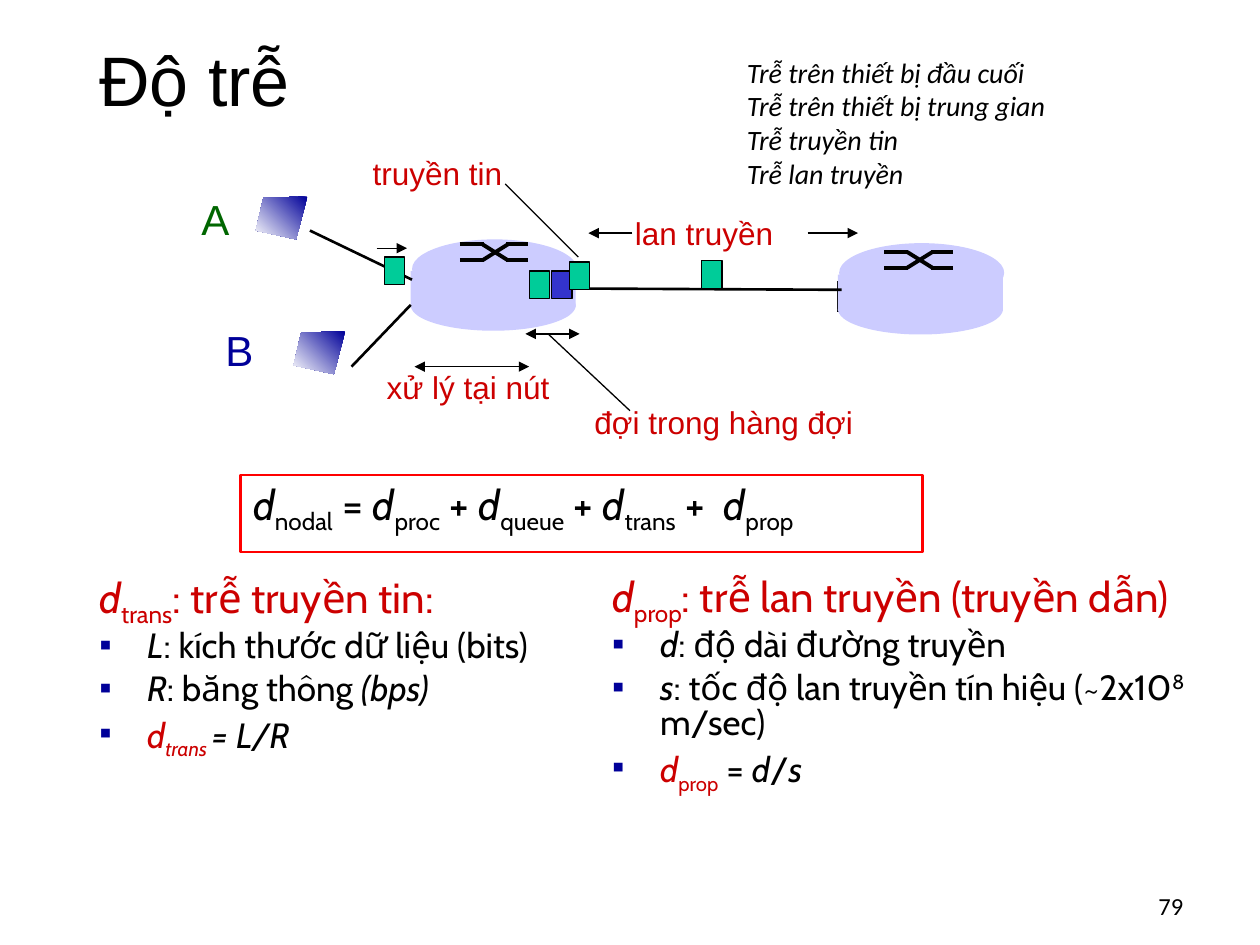
from lxml import etree
from pptx import Presentation
from pptx import util as u
from pptx.dml.color import RGBColor
from pptx.enum import shapes as sh, text as tx
from pptx.oxml import ns

# The slide is a grid of 100 columns by 75 rows
WIDE, HIGH = u.Inches(10), u.Inches(7.5)
COL, ROW = WIDE / 100, HIGH / 75

BLACK, RED, NAVY, GREEN = "000000", "CC0000", "000099", "006600"
LILAC, MINT, BLUE = "CCCCFF", "00CC99", "3333CC"
BASE = {"-": "-25000", "+": "30000"}


def hue(code):
    return RGBColor.from_string(code)


def spot(x, y):
    return round(x * COL), round(y * ROW)


def sub(node, tag, **attrs):
    return etree.SubElement(node, ns.qn(tag), attrs)


def mark(para, sign):
    """Hang the paragraph by 3.8 columns, with a bullet if one is given."""
    props = para._p.get_or_add_pPr()
    props.set("marL", str(round(3.8 * COL)))
    props.set("indent", str(round(-3.8 * COL)))
    if sign:
        sub(sub(props, "a:buClr"), "a:srgbClr", val=NAVY)
        sub(props, "a:buFont", typeface="Arial")
        sub(props, "a:buChar", char=sign)
    else:
        sub(props, "a:buNone")


def write(frame, lines, size=18, font="Arial", color=BLACK, italic=False,
          align="LEFT", anchor="TOP", wrap=False, pitch=None, gap=0,
          hang=False, head=None):
    """Fill a frame. A line is a string or a list of (words, flags):
    i italic, r red, - subscript, + superscript.
    head is the (size, color) of a first line that carries no bullet."""
    frame.word_wrap = wrap
    frame.vertical_anchor = getattr(tx.MSO_ANCHOR, anchor)
    for n, line in enumerate(lines):
        para = frame.add_paragraph() if n else frame.paragraphs[0]
        if hang:
            mark(para, "▪" if n else None)
        para.alignment = getattr(tx.PP_ALIGN, align)
        if pitch:
            para.line_spacing = pitch
        if n and gap:
            para.space_before = u.Pt(gap)
        points, tint = head if head and n == 0 else (size, color)
        for words, flags in [(line, "")] if isinstance(line, str) else line:
            run = para.add_run()
            run.text = words
            run.font.size = u.Pt(points)
            run.font.name = font
            run.font.italic = italic or "i" in flags
            run.font.color.rgb = hue(RED if "r" in flags else tint)
            for flag in flags:
                if flag in BASE:
                    run.font._element.set("baseline", BASE[flag])


def label(slide, x, y, w, h, *lines, **form):
    box = slide.shapes.add_textbox(*spot(x, y), *spot(w, h))
    write(box.text_frame, lines, **form)


def block(slide, kind, x, y, w, h, fill=None, line=None, weight=0.75):
    shape = slide.shapes.add_shape(getattr(sh.MSO_SHAPE, kind),
                                   *spot(x, y), *spot(w, h))
    shape.shadow.inherit = False
    if fill:
        shape.fill.solid()
        shape.fill.fore_color.rgb = hue(fill)
    else:
        shape.fill.background()
    if line:
        shape.line.color.rgb = hue(line)
        shape.line.width = u.Pt(weight)
    else:
        shape.line.fill.background()
    return shape


def link(parent, x1, y1, x2, y2, weight=0.75, ends=()):
    line = parent.shapes.add_connector(sh.MSO_CONNECTOR.STRAIGHT,
                                       *spot(x1, y1), *spot(x2, y2))
    line.line.color.rgb = hue(BLACK)
    line.line.width = u.Pt(weight)
    for end in ends:
        sub(line.line._get_or_add_ln(), "a:" + end + "End", type="triangle")
    sub(line._element.spPr, "a:effectLst")


def router(slide, x, y):
    block(slide, "OVAL", x, y + 3.25, 13.1, 4, LILAC)
    block(slide, "RECTANGLE", x, y + 2.5, 13.1, 2.9, LILAC)
    block(slide, "OVAL", x + 0.1, y, 13.1, 4.7, LILAC)


def cross(slide, x, y):
    group = slide.shapes.add_group_shape()
    for a, b in ((y, y + 1.25), (y + 1.25, y)):
        link(group, x, a, x + 1.9, a, 2.25)
        link(group, x + 1.8, a, x + 3.8, b, 2.25)
        link(group, x + 3.7, b, x + 5.4, b, 2.25)


def packet(slide, x, y, fill=MINT):
    block(slide, "RECTANGLE", x, y, 1.6, 2.2, fill, BLACK)


def host(slide, x, y):
    path = slide.shapes.build_freeform(*spot(x + 4.1, y))
    path.add_line_segments([spot(x + dx, y + dy) for dx, dy in
                            ((0.6, 0.1), (0, 2.7), (3.2, 3.4))])
    shape = path.convert_to_shape()
    shape.shadow.inherit = False
    shape.line.fill.background()
    shape.fill.gradient()
    shape.fill.gradient_angle = 225
    for stop, tint in zip(shape.fill.gradient_stops, (NAVY, "FFFFFF")):
        stop.color.rgb = hue(tint)


def network(slide):
    # Routers, hosts and the lines between them
    router(slide, 32.6, 19)
    cross(slide, 36.5, 19.4)
    link(slide, 66.5, 22.3, 66.5, 24.8, 1)
    router(slide, 66.5, 19.3)
    cross(slide, 70.2, 20)
    link(slide, 45.6, 22.9, 66.8, 23, 1.5)
    link(slide, 24.6, 18.3, 32.7, 22.2, 1.5)
    link(slide, 27.9, 29.1, 32.6, 24.2, 1.5)
    host(slide, 20.3, 15.6)
    host(slide, 23.3, 26.3)
    label(slide, 15, 14.9, 4.2, 5, "A", size=24, color=GREEN)
    label(slide, 16.9, 25.3, 4.2, 5, "B", size=24, color=NAVY)

    # Packets on the way
    for x, y, fill in ((30.5, 20.4, MINT), (42, 21.5, MINT),
                       (43.8, 21.5, BLUE), (45.2, 20.8, MINT),
                       (55.7, 20.7, MINT)):
        packet(slide, x, y, fill)

    # Names of the delays
    for x, y, w, name in ((28.6, 11.7, 12.4, "truyền tin"),
                          (49.4, 16.5, 13.1, "lan truyền"),
                          (29.7, 28.7, 15.1, "xử lý tại nút"),
                          (46.2, 31.5, 22.7, "đợi trong hàng đợi")):
        label(slide, x, y, w, 4, name, color=RED)

    # Arrows and leaders
    one, both = ("tail",), ("head", "tail")
    for x1, y1, x2, y2, ends in ((29.9, 19.7, 32.3, 19.7, one),
                                 (64.1, 18.5, 68.1, 18.5, one),
                                 (50.2, 18.5, 46.7, 18.5, one),
                                 (42, 29.1, 32.9, 29.1, both),
                                 (46, 26.5, 41.7, 26.5, both),
                                 (50, 32.6, 43.5, 26.5, ()),
                                 (40.1, 14.6, 45.9, 20.4, ())):
        link(slide, x1, y1, x2, y2, ends=ends)


def formula(slide):
    box = block(slide, "RECTANGLE", 19.1, 37.7, 54.1, 6.1,
                line="FF0000", weight=1.5)
    runs = []
    for name, sign in (("nodal", " = "), ("proc", " + "), ("queue", " + "),
                       ("trans", " +  "), ("prop", "")):
        runs += [("d", "i"), (name, "-")]
        if sign:
            runs.append((sign, ""))
    write(box.text_frame, [runs], size=24, font="Cabin", wrap=True, pitch=0.85)


def notes(slide):
    form = dict(size=20, font="Cabin", wrap=True, pitch=0.85, gap=4,
                hang=True, head=(24, RED))
    label(slide, 6.9, 45.1, 41.7, 22.7,
          [("d", "i"), ("trans", "-"), (": trễ truyền tin:", "")],
          [("L", "i"), (": kích thước dữ liệu (bits)", "")],
          [("R", "i"), (": băng thông", ""), (" (bps)", "i")],
          [("d", "ir"), ("trans ", "ir-"), ("= L/R", "i")], **form)
    label(slide, 47.6, 45, 50.8, 24,
          [("d", "i"), ("prop", "-"), (": trễ lan truyền (truyền dẫn)", "")],
          [("d", "i"), (": độ dài đường truyền", "")],
          [("s", "i"), (": tốc độ lan truyền tín hiệu (~2x10", ""),
           ("8", "+"), (" m/sec)", "")],
          [("d", "ir"), ("prop", "r-"), (" = ", ""), ("d", "i"),
           ("/", ""), ("s", "i")], **form)


def main():
    deck = Presentation()
    deck.slide_width, deck.slide_height = WIDE, HIGH
    slide = deck.slides.add_slide(deck.slide_layouts[6])

    # Title, page number and list of delays
    label(slide, 6.9, 2.6, 86.2, 8.1, "Độ trễ", size=40, anchor="MIDDLE",
          wrap=True, pitch=0.9)
    label(slide, 88.6, 69.9, 6.3, 4, "79", size=14, font="Calibri",
          align="RIGHT", anchor="MIDDLE", wrap=True)
    label(slide, 58.3, 3.9, 29.3, 11.8, "Trễ trên thiết bị đầu cuối",
          "Trễ trên thiết bị trung gian", "Trễ truyền tin",
          "Trễ lan truyền", size=16, font="Calibri", italic=True, wrap=True)

    network(slide)
    formula(slide)
    notes(slide)
    deck.save("out.pptx")


if __name__ == "__main__":
    main()
